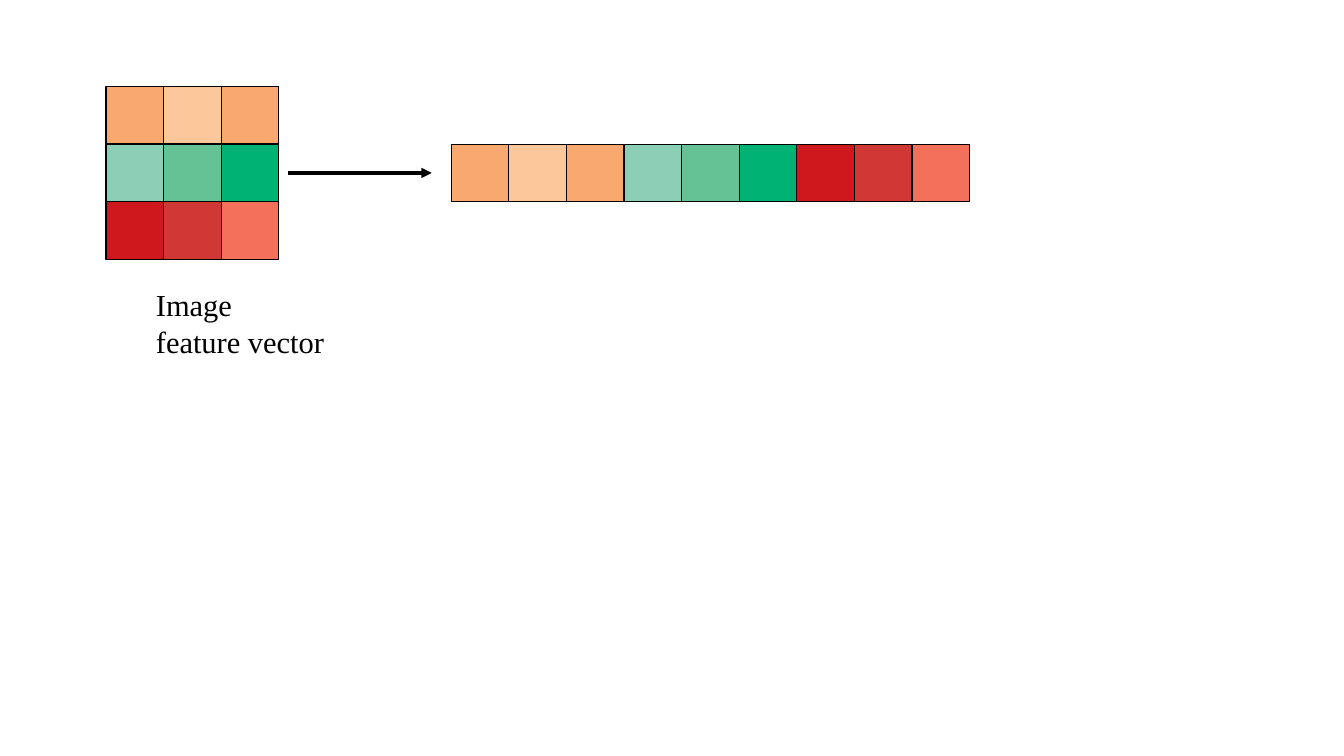
from lxml import etree
from pptx import Presentation
from pptx import util as u
from pptx.dml.color import RGBColor
from pptx.enum import shapes, text
from pptx.oxml.ns import qn

BLACK = RGBColor(0x00, 0x00, 0x00)
ORANGE = RGBColor(0xF9, 0xA8, 0x70)
PEACH = RGBColor(0xFC, 0xC7, 0x9B)
MINT = RGBColor(0x8C, 0xCF, 0xB7)
GREEN = RGBColor(0x65, 0xC2, 0x95)
EMERALD = RGBColor(0x00, 0xB2, 0x74)
RED = RGBColor(0xCE, 0x18, 0x1E)
BRICK = RGBColor(0xCF, 0x38, 0x34)
CORAL = RGBColor(0xF3, 0x71, 0x5A)

PIXELS = [ORANGE, PEACH, ORANGE, MINT, GREEN, EMERALD, RED, BRICK, CORAL]
LABELS = ["Image", "feature vector"]
FONT = "Times New Roman"

CELL = u.Inches(4.25 / 9)
IMAGE_COLUMNS = 3
IMAGE_LEFT, IMAGE_TOP = u.Inches(0.87), u.Inches(0.71)
VECTOR_LEFT, VECTOR_TOP = u.Inches(3.7), IMAGE_TOP + CELL
ARROW_START, ARROW_END = u.Inches(2.36), u.Inches(3.54)


def add_pixels(slide, left, top, columns):
    for index, color in enumerate(PIXELS):
        row, column = divmod(index, columns)
        pixel = slide.shapes.add_shape(
            shapes.MSO_SHAPE.RECTANGLE,
            left + column * CELL, top + row * CELL, CELL, CELL)
        pixel.shadow.inherit = False
        pixel.fill.solid()
        pixel.fill.fore_color.rgb = color
        pixel.line.color.rgb = BLACK
        pixel.line.width = 0


def add_arrow(slide, start, end, middle):
    arrow = slide.shapes.add_connector(
        shapes.MSO_CONNECTOR.STRAIGHT, start, middle, end, middle)
    arrow.line.color.rgb = BLACK
    arrow.line.width = 0
    etree.SubElement(arrow.line._get_or_add_ln(), qn("a:tailEnd"), type="triangle")
    etree.SubElement(arrow._element.spPr, qn("a:effectLst"))


def add_labels(slide):
    box = slide.shapes.add_textbox(
        u.Inches(1.18), u.Inches(2.3), u.Inches(7.09), u.Inches(0.7))
    frame = box.text_frame
    frame.word_wrap = True
    frame.auto_size = text.MSO_AUTO_SIZE.SHAPE_TO_FIT_TEXT
    for index, label in enumerate(LABELS):
        paragraph = frame.add_paragraph() if index else frame.paragraphs[0]
        run = paragraph.add_run()
        run.text = label
        run.font.name = FONT
        run.font.size = u.Pt(18)
        run.font.color.rgb = BLACK


def main():
    presentation = Presentation()
    presentation.slide_width = u.Inches(11.02)
    presentation.slide_height = u.Inches(6.2)
    slide = presentation.slides.add_slide(presentation.slide_layouts[6])
    add_pixels(slide, IMAGE_LEFT, IMAGE_TOP, IMAGE_COLUMNS)
    add_pixels(slide, VECTOR_LEFT, VECTOR_TOP, len(PIXELS))
    add_arrow(slide, ARROW_START, ARROW_END, VECTOR_TOP + CELL // 2)
    add_labels(slide)
    presentation.save("out.pptx")


if __name__ == "__main__":
    main()
